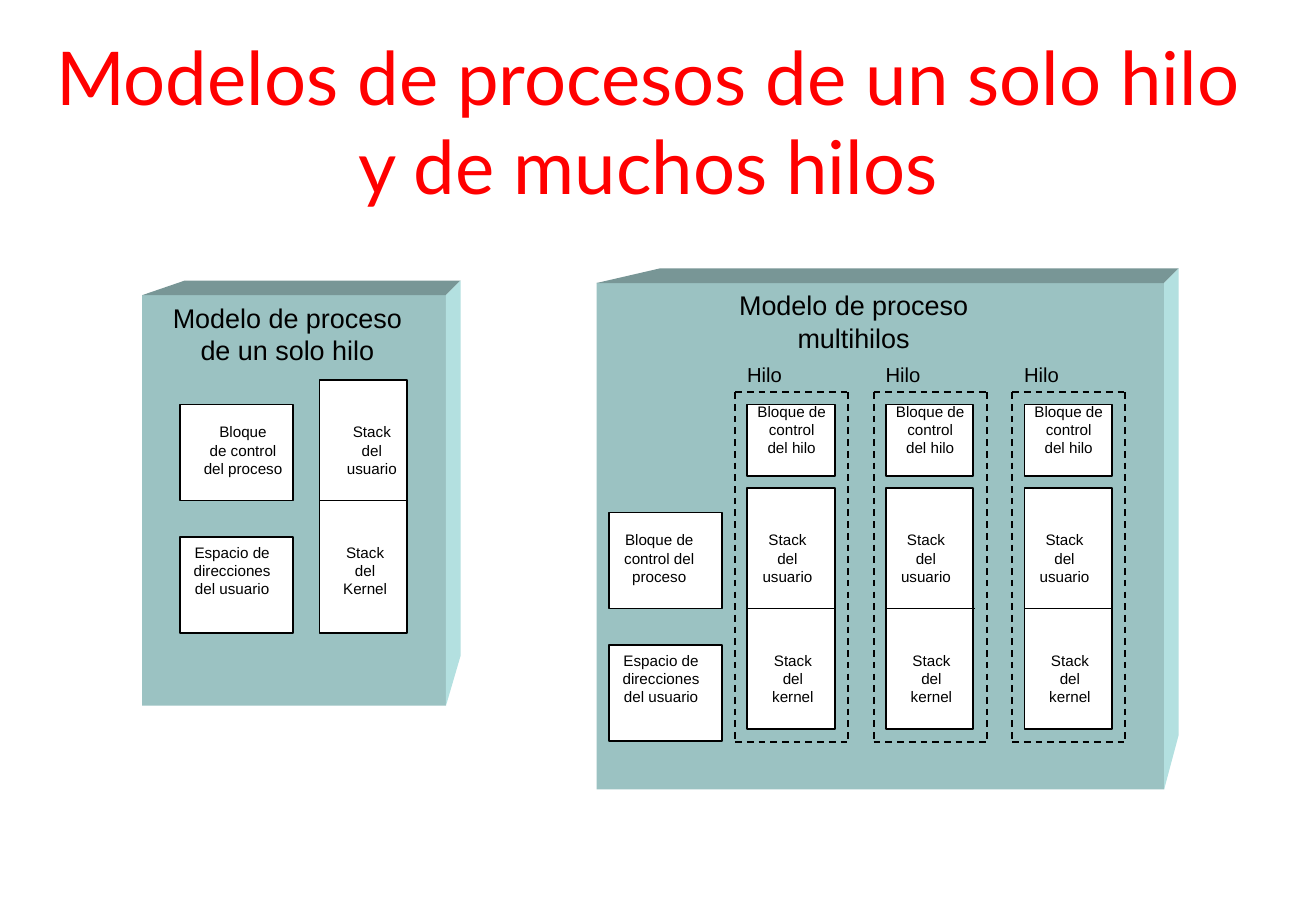
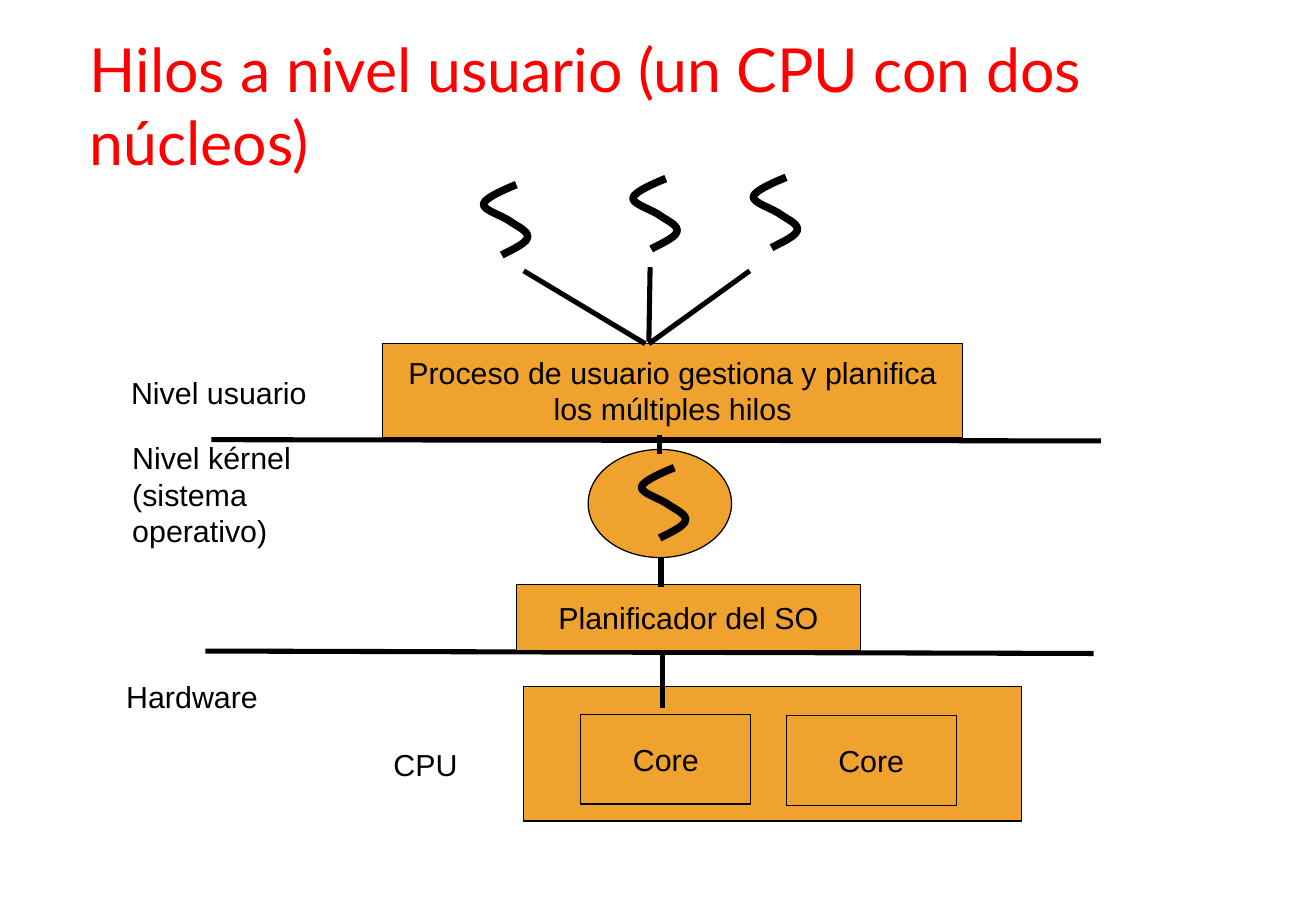
from dataclasses import dataclass

from lxml.etree import SubElement
from pptx import Presentation
from pptx.dml.color import RGBColor
from pptx.enum.dml import MSO_LINE
from pptx.enum.shapes import MSO_CONNECTOR, MSO_SHAPE
from pptx.enum.text import MSO_ANCHOR, MSO_AUTO_SIZE, PP_ALIGN
from pptx.oxml.ns import qn
from pptx.util import Inches, Pt


@dataclass(frozen=True)
class Theme:
    title: str = "FF0000"
    ink: str = "000000"
    paper: str = "FFFFFF"
    block_front: str = "9BC2C2"
    block_top: str = "789696"
    block_side: str = "B3E0E0"
    orange: str = "F0A22E"
    title_font: str = "Lato"
    body_font: str = "Arial"
    solo_title_size: float = 44
    user_title_size: float = 36
    note_size: float = 9
    thread_size: float = 12
    heading_size: float = 16
    level_size: float = 18
    fine: float = 0.75
    thin: float = 1
    thick: float = 3
    squiggle: float = 4.5


THEME = Theme()
BLANK_LAYOUT = 6

# Thread symbol: two control points and an end per curve, from its upper end
SQUIGGLE = [
    [(-0.05, 0.02), (-0.27, 0.11), (-0.27, 0.16)],
    [(-0.28, 0.21), (-0.1, 0.26), (-0.04, 0.31)],
    [(0.02, 0.35), (0.11, 0.39), (0.09, 0.44)],
    [(0.08, 0.49), (-0.09, 0.56), (-0.12, 0.58)],
]


# Shared styling
def paint(shape, fill=None, line=None, width=THEME.thin):
    shape.shadow.inherit = False
    if fill:
        shape.fill.solid()
        shape.fill.fore_color.rgb = RGBColor.from_string(fill)
    else:
        shape.fill.background()
    if line:
        shape.line.color.rgb = RGBColor.from_string(line)
        shape.line.width = Pt(width)
    else:
        shape.line.fill.background()


def write(frame, text, size, align=PP_ALIGN.LEFT, color=THEME.ink,
          font=THEME.body_font):
    for index, line in enumerate(text.split("\n")):
        paragraph = frame.paragraphs[0] if index == 0 else frame.add_paragraph()
        paragraph.alignment = align
        run = paragraph.add_run()
        run.text = line
        run.font.size = Pt(size)
        run.font.name = font
        run.font.color.rgb = RGBColor.from_string(color)


# Element kinds
def add_label(slide, at, text, size, align=PP_ALIGN.LEFT, wrap=False, **style):
    frame = slide.shapes.add_textbox(*map(Inches, at)).text_frame
    frame.word_wrap = wrap
    frame.auto_size = MSO_AUTO_SIZE.SHAPE_TO_FIT_TEXT
    write(frame, text, size, align, **style)


def add_note(slide, at, text):
    add_label(slide, at, text, THEME.note_size, PP_ALIGN.CENTER)


def add_title(slide, at, text, size, align):
    add_label(slide, at, text, size, align, wrap=True,
              color=THEME.title, font=THEME.title_font)


def add_box(slide, at, fill=THEME.paper, line=THEME.ink, width=THEME.thin,
            kind=MSO_SHAPE.RECTANGLE):
    box = slide.shapes.add_shape(kind, *map(Inches, at))
    paint(box, fill, line, width)
    return box


def add_stage(slide, at, text="", wrap=False, kind=MSO_SHAPE.RECTANGLE):
    stage = add_box(slide, at, THEME.orange, width=THEME.fine, kind=kind)
    if text:
        frame = stage.text_frame
        frame.word_wrap = wrap
        frame.vertical_anchor = MSO_ANCHOR.MIDDLE
        write(frame, text, THEME.level_size, PP_ALIGN.CENTER)


def add_line(slide, start, end, width=THEME.thick, dash=None):
    line = slide.shapes.add_connector(
        MSO_CONNECTOR.STRAIGHT, *map(Inches, (*start, *end)))
    line.line.color.rgb = RGBColor.from_string(THEME.ink)
    line.line.width = Pt(width)
    if dash:
        line.line.dash_style = dash
    SubElement(line.element.spPr, qn("a:effectLst"))


def add_outline(slide, points, close=True):
    corners = [(Inches(x), Inches(y)) for x, y in points]
    builder = slide.shapes.build_freeform(*corners[0], scale=1.0)
    builder.add_line_segments(corners[1:], close=close)
    return builder.convert_to_shape()


def add_block(slide, at, slant, rise):
    """Box with depth: slant shifts its back left edge, rise its back bottom."""
    left, top, width, height = at
    right, bottom, depth = left + width, top + height, 0.12
    back_right, back_top = right + depth, top - depth
    add_box(slide, at, THEME.block_front, line=None)
    lid = [(left, top), (left + slant, back_top), (back_right, back_top), (right, top)]
    side = [(right, top), (back_right, back_top),
            (back_right, bottom - rise), (right, bottom)]
    paint(add_outline(slide, lid), THEME.block_top)
    paint(add_outline(slide, side), THEME.block_side)


def add_squiggle(slide, x, y):
    ends = [(0, 0)] + [curve[-1] for curve in SQUIGGLE]
    thread = add_outline(slide, [(x + dx, y + dy) for dx, dy in ends], close=False)
    # Turn each straight segment into a Bezier curve
    segments = list(thread.element.iter(qn("a:lnTo")))
    for segment, curve in zip(segments, SQUIGGLE):
        segment.tag = qn("a:cubicBezTo")
        segment.remove(segment[0])
        for dx, dy in curve:
            SubElement(segment, qn("a:pt"), x=str(Inches(x + dx) - thread.left),
                       y=str(Inches(y + dy) - thread.top))
    paint(thread, line=THEME.ink, width=THEME.squiggle)


def add_thread(slide, x):
    """One thread column of the multithreaded process."""
    add_box(slide, (x + 0.1, 4.02, 0.72, 1.98))
    add_box(slide, (x + 0.1, 3.33, 0.72, 0.59))
    add_line(slide, (x + 0.1, 5.01), (x + 0.83, 5.01), THEME.thin)
    # Dashed frame
    left, top, right, bottom = x, 3.23, x + 0.93, 6.11
    for start, end in (
        ((left, top), (right, top)),
        ((right, top), (right, bottom)),
        ((left, top), (left, bottom)),
        ((left, bottom), (right, bottom)),
    ):
        add_line(slide, start, end, THEME.thin, MSO_LINE.DASH)
    add_note(slide, (x + 0.08, 3.26, 0.77, 0.56), "Bloque de\ncontrol\ndel hilo")
    add_note(slide, (x + 0.12, 4.32, 0.62, 0.56), "Stack\ndel\nusuario")
    add_note(slide, (x + 0.2, 5.31, 0.55, 0.56), "Stack\ndel\nkernel")
    add_label(slide, (x, 2.93, 0.49, 0.3), "Hilo", THEME.thread_size)


# Slides
def build_process_models(slide):
    add_block(slide, (1.17, 2.43, 2.5, 3.38), slant=0.35, rise=0.41)
    add_block(slide, (4.91, 2.33, 4.67, 4.17), slant=0.52, rise=0.45)

    # Single-threaded process
    add_label(slide, (1.31, 2.43, 2.11, 0.64), "Modelo de proceso\nde un solo hilo",
              THEME.heading_size, PP_ALIGN.CENTER)
    add_box(slide, (2.63, 3.13, 0.72, 2.08))
    add_line(slide, (2.63, 4.12), (3.35, 4.12), THEME.thin)
    add_note(slide, (2.75, 3.43, 0.62, 0.56), "Stack\ndel\nusuario")
    add_note(slide, (2.72, 4.42, 0.57, 0.56), "Stack\ndel\nKernel")

    # Multithreaded process
    add_label(slide, (5.97, 2.33, 2.11, 0.64), "Modelo de proceso\nmultihilos",
              THEME.heading_size, PP_ALIGN.CENTER)
    for column in range(3):
        add_thread(slide, 6.05 + 1.14 * column)

    # Control block and address space of each process
    address_space = "Espacio de\ndirecciones\ndel usuario"
    for x, y, note_at, text in (
        (1.48, 3.33, (1.57, 3.43, 0.86, 0.56), "Bloque\nde control\ndel proceso"),
        (1.48, 4.42, (1.49, 4.42, 0.84, 0.56), address_space),
        (5.01, 4.22, (5.03, 4.32, 0.79, 0.56), "Bloque de\ncontrol del\nproceso"),
        (5.01, 5.31, (5.02, 5.31, 0.84, 0.56), address_space),
    ):
        add_box(slide, (x, y, 0.93, 0.79))
        add_note(slide, note_at, text)

    add_title(slide, (0.3, 0.21, 10.07, 1.58),
              "Modelos de procesos de un solo hilo y de muchos hilos",
              THEME.solo_title_size, PP_ALIGN.CENTER)


def build_user_threads(slide):
    # Level borders
    add_line(slide, (1.74, 3.62), (9.06, 3.63))
    add_line(slide, (1.69, 5.36), (9, 5.38))

    # Stages from process to hardware
    add_stage(slide, (4.84, 3.7, 1.18, 0.89), kind=MSO_SHAPE.OVAL)
    add_stage(slide, (3.15, 2.83, 4.77, 0.77),
              "Proceso de usuario gestiona y planifica los múltiples hilos", wrap=True)
    add_stage(slide, (4.25, 4.81, 2.83, 0.55), "Planificador del SO")
    add_stage(slide, (4.31, 5.65, 4.1, 1.11))
    add_stage(slide, (4.78, 5.88, 1.4, 0.74), "Core")
    add_stage(slide, (6.47, 5.89, 1.4, 0.74), "Core")

    # Threads and their links
    for x, y in ((4.25, 1.52), (5.48, 1.47), (6.47, 1.46), (5.55, 3.85)):
        add_squiggle(slide, x, y)
    for start, end in (
        ((5.31, 2.83), (4.31, 2.23)),
        ((5.34, 2.81), (5.35, 2.2)),
        ((5.34, 2.83), (6.17, 2.23)),
        ((5.43, 3.74), (5.43, 3.58)),
        ((5.44, 4.83), (5.44, 4.59)),
        ((5.45, 5.83), (5.45, 5.35)),
    ):
        add_line(slide, start, end)

    # Level names
    for at, text, wrap in (
        ((0.98, 3.03, 1.99, 0.41), "Nivel usuario", True),
        ((0.99, 3.57, 2.14, 1.01), "Nivel kérnel (sistema operativo)", True),
        ((0.94, 5.53, 1.29, 0.41), "Hardware", False),
        ((3.14, 6.09, 0.73, 0.41), "CPU", False),
    ):
        add_label(slide, at, text, THEME.level_size, wrap=wrap)

    add_title(slide, (0.64, 0.21, 9.73, 1.31),
              "Hilos a nivel usuario (un CPU con dos núcleos)",
              THEME.user_title_size, PP_ALIGN.LEFT)


def main():
    deck = Presentation()
    deck.slide_width, deck.slide_height = Inches(10.83), Inches(7.5)
    for build in (build_process_models, build_user_threads):
        build(deck.slides.add_slide(deck.slide_layouts[BLANK_LAYOUT]))
    deck.save("out.pptx")


if __name__ == "__main__":
    main()
